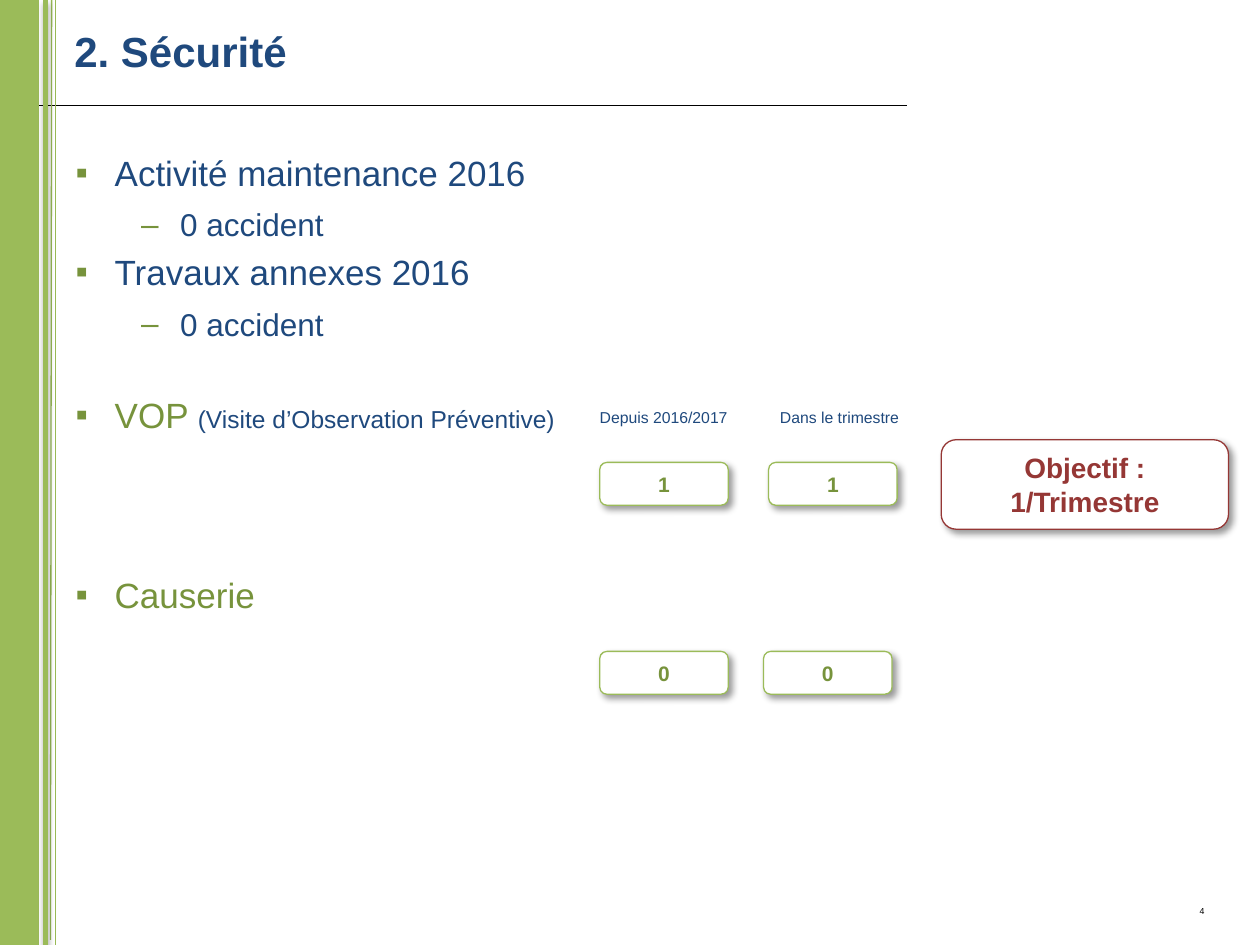
import pptx
import pptx.util
import pptx.dml.color
import pptx.enum.shapes
import pptx.enum.text
import pptx.oxml
import pptx.oxml.ns
from pptx.util import Inches

COLORS = {"navy": "1F497D", "green": "77933C", "band": "9BBB59", "rule": "98B955",
          "red": "953735", "black": "000000", "white": "FFFFFF"}
rgb = {k: pptx.dml.color.RGBColor.from_string(v) for k, v in COLORS.items()}
SHAPES = pptx.enum.shapes.MSO_SHAPE
ALIGN = pptx.enum.text.PP_ALIGN
ANCHOR = pptx.enum.text.MSO_ANCHOR
NS = pptx.oxml.ns.nsdecls("a")


def add_text(p, text, size=12, color="navy", bold=False):
    r = p.add_run()
    r.text = text
    r.font.name = "Arial"
    r.font.size = pptx.util.Pt(size)
    r.font.bold = bold
    r.font.color.rgb = rgb[color]


def set_shadow(sp, blur=0, dist=0, angle=0, alpha=0):
    shadow = ""
    if alpha:
        shadow = (f'<a:outerShdw blurRad="{int(blur * 12700)}" dist="{int(dist * 12700)}" '
                  f'dir="{angle * 60000}" algn="tl" rotWithShape="0"><a:srgbClr val="000000">'
                  f'<a:alpha val="{alpha * 1000}"/></a:srgbClr></a:outerShdw>')
    sp._element.spPr.append(pptx.oxml.parse_xml(f"<a:effectLst {NS}>{shadow}</a:effectLst>"))


prs = pptx.Presentation()
prs.slide_width, prs.slide_height = Inches(10), Inches(7.5)
s = prs.slides.add_slide(prs.slide_layouts[1])

# Title rule, green band and thin vertical lines
RULES = [(0, 0.84, 7.2, 0.84, "black", 0.75), (0.41, 0, 0.4, 7.46, "rule", 0.75),
         (0.44, 0, 0.44, 7.5, "rule", 0.75), (0.36, 0, 0.36, 7.5, "band", 3)]
for x1, y1, x2, y2, color, width in RULES:
    line = s.shapes.add_connector(pptx.enum.shapes.MSO_CONNECTOR.STRAIGHT,
                                  Inches(x1), Inches(y1), Inches(x2), Inches(y2))
    line.line.color.rgb = rgb[color]
    line.line.width = pptx.util.Pt(width)
    if width == 3:
        set_shadow(line, blur=3.1, dist=1.8, angle=90, alpha=35)
    else:
        set_shadow(line)
    if color == "black":
        band = s.shapes.add_shape(SHAPES.RECTANGLE, 0, 0, Inches(0.31), Inches(7.5))
        band.fill.solid()
        band.fill.fore_color.rgb = rgb["band"]
        band.line.fill.background()
        band.shadow.inherit = False

# Title
title = s.shapes.title
title.left, title.top, title.width, title.height = map(Inches, (0.49, 0.05, 7.66, 0.71))
title.text_frame.vertical_anchor = ANCHOR.MIDDLE
title.text_frame.auto_size = pptx.enum.text.MSO_AUTO_SIZE.NONE
p = title.text_frame.paragraphs[0]
p.alignment = ALIGN.LEFT
add_text(p, "2. Sécurité", size=24, bold=True)

# Bulleted list: level, space after in points, runs
ITEMS = [
    (0, 7, [("Activité maintenance 2016", 20, "navy")]),
    (1, 4.3, [("0 accident", 18, "navy")]),
    (0, 7, [("Travaux annexes 2016", 20, "navy")]),
    (1, 29, [("0 accident", 18, "navy")]),
    (0, 79, [("VOP ", 20, "green"), ("(Visite d’Observation Préventive)", 14, "navy")]),
    (0, 0, [("Causerie", 20, "green")]),
]
body = s.placeholders[1]
body.left, body.top, body.width, body.height = map(Inches, (0.5, 1.15, 9, 5.91))
tf = body.text_frame
tf.auto_size = pptx.enum.text.MSO_AUTO_SIZE.NONE
for i, (level, after, runs) in enumerate(ITEMS):
    p = tf.paragraphs[0] if i == 0 else tf.add_paragraph()
    p.level = level
    p.space_before, p.space_after = pptx.util.Pt(0), pptx.util.Pt(after)
    pPr = p._p.get_or_add_pPr()
    pPr.set("marL", str(Inches((0.31, 0.83)[level])))
    pPr.set("indent", str(Inches(-0.31)))
    for xml in (f'<a:buClr {NS}><a:srgbClr val="{COLORS["green"]}"/></a:buClr>',
                f'<a:buFont {NS} typeface="Arial"/>',
                f'<a:buChar {NS} char="{"▪–"[level]}"/>'):
        pPr.append(pptx.oxml.parse_xml(xml))
    for text, size, color in runs:
        add_text(p, text, size=size, color=color)

# Column headings and slide number
LABELS = [("Depuis 2016/2017", 4.76, 3.24, 1.2, 9, "navy"),
          ("Dans le trimestre", 6.19, 3.24, 1.2, 9, "navy"),
          ("4", 9.52, 7.19, 0.28, 5, "black")]
for text, x, y, w, size, color in LABELS:
    tf = s.shapes.add_textbox(Inches(x), Inches(y), Inches(w), Inches(0.16)).text_frame
    tf.word_wrap = True
    tf.margin_left = tf.margin_top = tf.margin_right = tf.margin_bottom = 0
    add_text(tf.paragraphs[0], text, size=size, color=color)

# Target and counters
BOXES = [("Objectif : 1/Trimestre", 7.47, 3.49, 2.28, 0.71, 16, "red", "red")]
BOXES += [(n, x, y, 1.02, 0.34, 12, "green", "band")
          for n, x, y in (("1", 6.1, 3.67), ("1", 4.76, 3.67), ("0", 4.76, 5.17), ("0", 6.06, 5.17))]
for text, x, y, w, h, size, color, border in BOXES:
    sp = s.shapes.add_shape(SHAPES.ROUNDED_RECTANGLE, Inches(x), Inches(y), Inches(w), Inches(h))
    sp.fill.solid()
    sp.fill.fore_color.rgb = rgb["white"]
    sp.line.color.rgb = rgb[border]
    sp.line.width = pptx.util.Pt(0.75)
    set_shadow(sp, blur=4, dist=3, angle=45, alpha=40)
    tf = sp.text_frame
    tf.word_wrap = True
    tf.vertical_anchor = ANCHOR.MIDDLE
    p = tf.paragraphs[0]
    p.alignment = ALIGN.CENTER
    add_text(p, text, size=size, color=color, bold=True)

prs.save("out.pptx")
